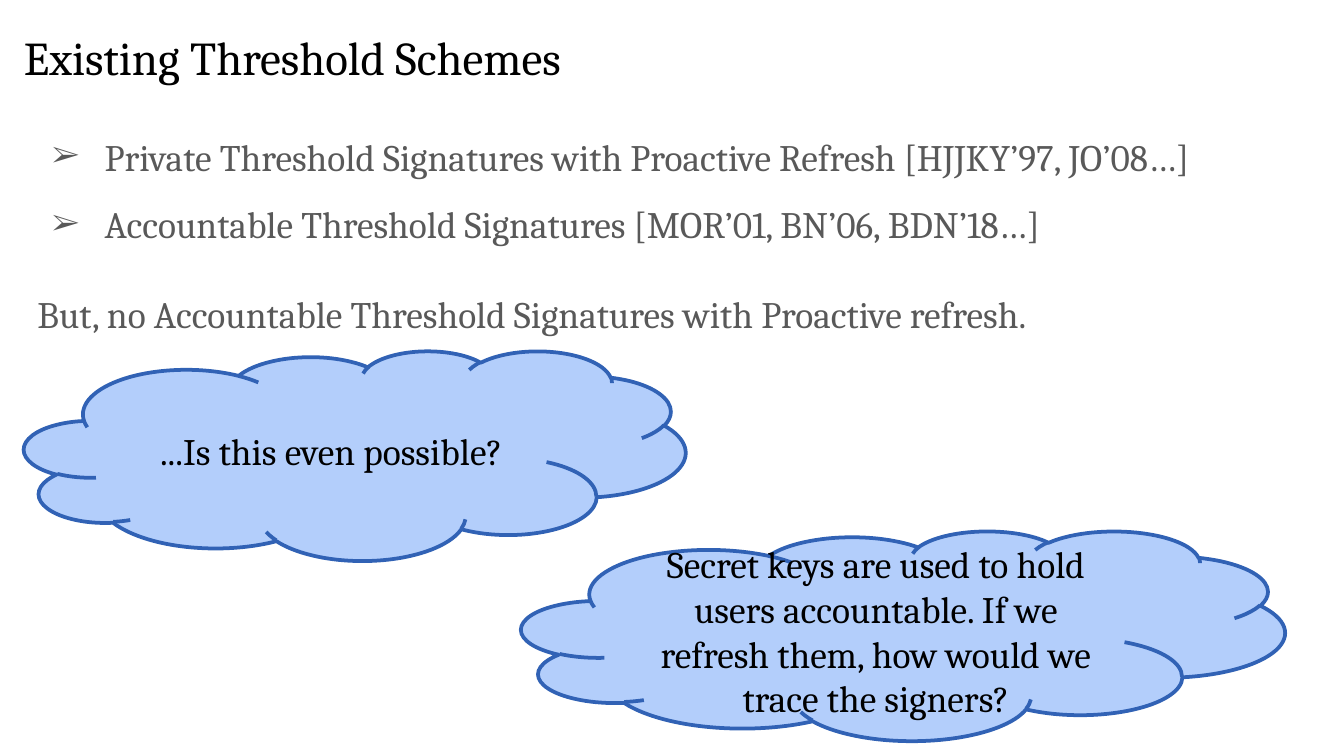
from dataclasses import dataclass

from lxml import etree
from pptx import Presentation
from pptx.dml.color import RGBColor
from pptx.enum import shapes, text
from pptx.oxml import ns
from pptx.util import Inches, Pt

BLACK = RGBColor(0x00, 0x00, 0x00)
GREY = RGBColor(0x59, 0x59, 0x59)
SKY = RGBColor(0xB3, 0xCE, 0xFB)
BLUE = RGBColor(0x31, 0x62, 0xB5)
FONT = "Cambria"


@dataclass
class Box:
    left: float
    top: float
    width: float
    height: float

    def place(self) -> tuple:
        return tuple(Inches(v) for v in (self.left, self.top, self.width, self.height))


@dataclass
class Cloud:
    box: Box
    words: str


@dataclass
class Point:
    words: str
    bullet: bool = True


TITLE = Box(0.08, 0.11, 9.32, 0.63)
BODY = Box(0.18, 0.73, 9.62, 2.45)
POINTS = [
    Point("Private Threshold Signatures with Proactive Refresh [HJJKY’97, JO’08…]"),
    Point("Accountable Threshold Signatures [MOR’01, BN’06, BDN’18…]"),
    Point("But, no Accountable Threshold Signatures with Proactive refresh.", False),
]
CLOUDS = [
    Cloud(Box(0.18, 2.61, 4.92, 1.56), "...Is this even possible?"),
    Cloud(Box(3.88, 3.95, 5.68, 1.56),
          "Secret keys are used to hold users accountable. "
          "If we refresh them, how would we trace the signers?"),
]


def set_frame(frame, anchor) -> None:
    frame.word_wrap = True
    frame.vertical_anchor = anchor
    frame.margin_left = frame.margin_right = Inches(0.1)
    frame.margin_top = frame.margin_bottom = Inches(0.1)


def add_run(para, words: str, color: RGBColor, size: float = 20) -> None:
    run = para.add_run()
    run.text = words
    run.font.name = FONT
    run.font.size = Pt(size)
    run.font.color.rgb = color


def add_bullet(para) -> None:
    props = para._p.get_or_add_pPr()
    props.set("marL", str(Inches(0.5)))
    props.set("indent", str(Inches(-0.39)))
    tint = etree.SubElement(props, ns.qn("a:buClr"))
    etree.SubElement(tint, ns.qn("a:srgbClr"), val=str(GREY))
    etree.SubElement(props, ns.qn("a:buSzPct"), val="80000")
    etree.SubElement(props, ns.qn("a:buFont"), typeface=FONT)
    etree.SubElement(props, ns.qn("a:buChar"), char="➢")


def add_frame(slide, box: Box):
    frame = slide.shapes.add_textbox(*box.place()).text_frame
    set_frame(frame, text.MSO_ANCHOR.TOP)
    return frame


def add_points(slide, box: Box, points: list[Point]) -> None:
    frame = add_frame(slide, box)
    for i, point in enumerate(points):
        para = frame.add_paragraph() if i else frame.paragraphs[0]
        para.line_spacing = 1.5
        if point.bullet:
            add_bullet(para)
        else:
            para.space_before = para.space_after = Pt(12)
        add_run(para, point.words, GREY)


def add_cloud(slide, cloud: Cloud) -> None:
    shape = slide.shapes.add_shape(shapes.MSO_SHAPE.CLOUD, *cloud.box.place())
    shape.shadow.inherit = False
    shape.fill.solid()
    shape.fill.fore_color.rgb = SKY
    shape.line.color.rgb = BLUE
    shape.line.width = Pt(2)
    set_frame(shape.text_frame, text.MSO_ANCHOR.MIDDLE)
    para = shape.text_frame.paragraphs[0]
    para.alignment = text.PP_ALIGN.CENTER
    add_run(para, cloud.words, BLACK)


def main() -> None:
    # Widescreen page, 16 to 9
    deck = Presentation()
    deck.slide_width = Inches(10)
    deck.slide_height = Inches(10) * 9 // 16
    slide = deck.slides.add_slide(deck.slide_layouts[6])

    # Title
    head = add_frame(slide, TITLE)
    add_run(head.paragraphs[0], "Existing Threshold Schemes", BLACK, 25.2)

    # Known schemes and the gap
    add_points(slide, BODY, POINTS)

    # Open questions
    for cloud in CLOUDS:
        add_cloud(slide, cloud)

    deck.save("out.pptx")


if __name__ == "__main__":
    main()
